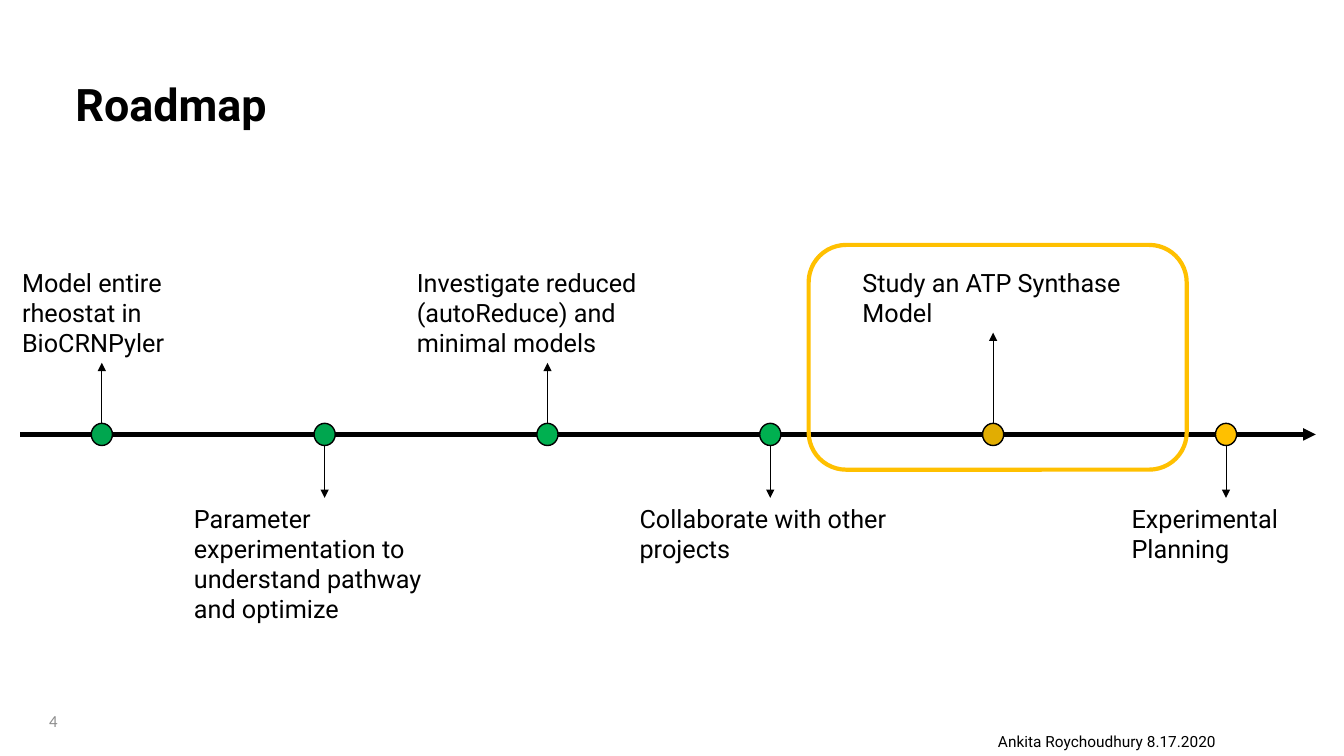
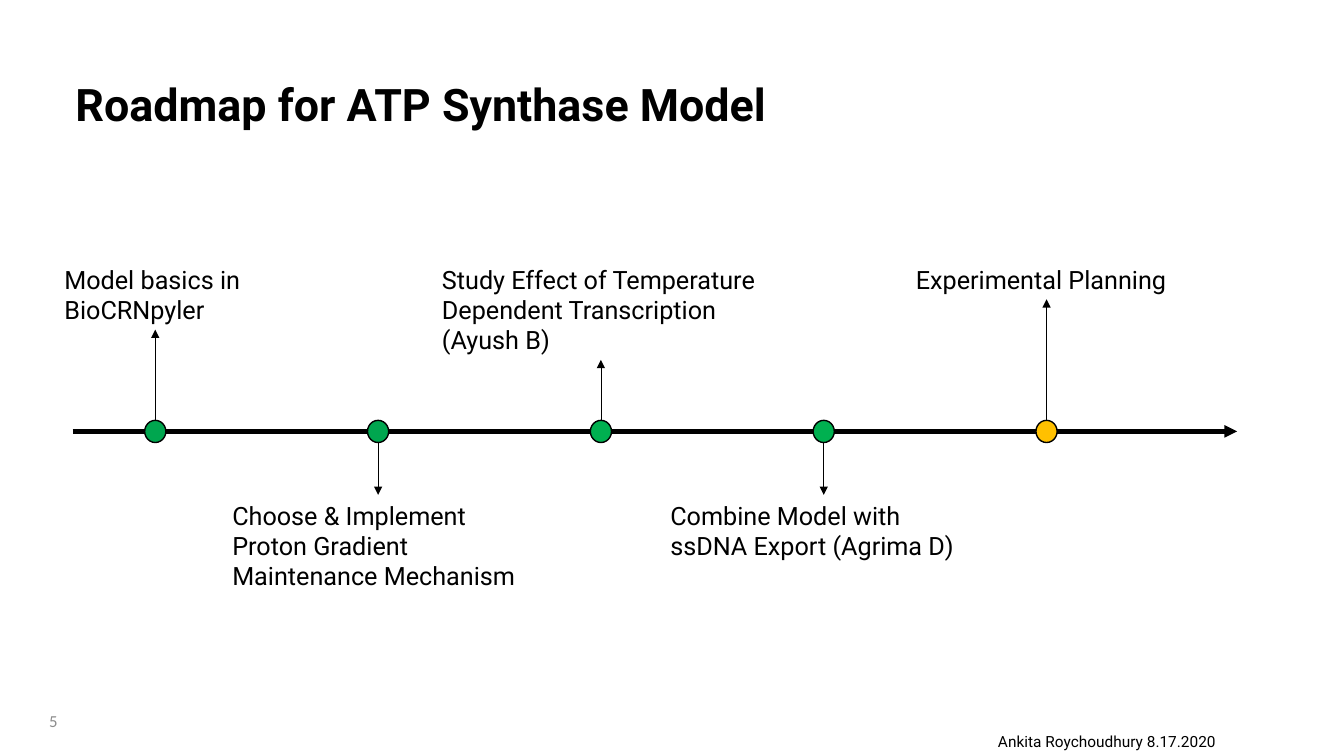
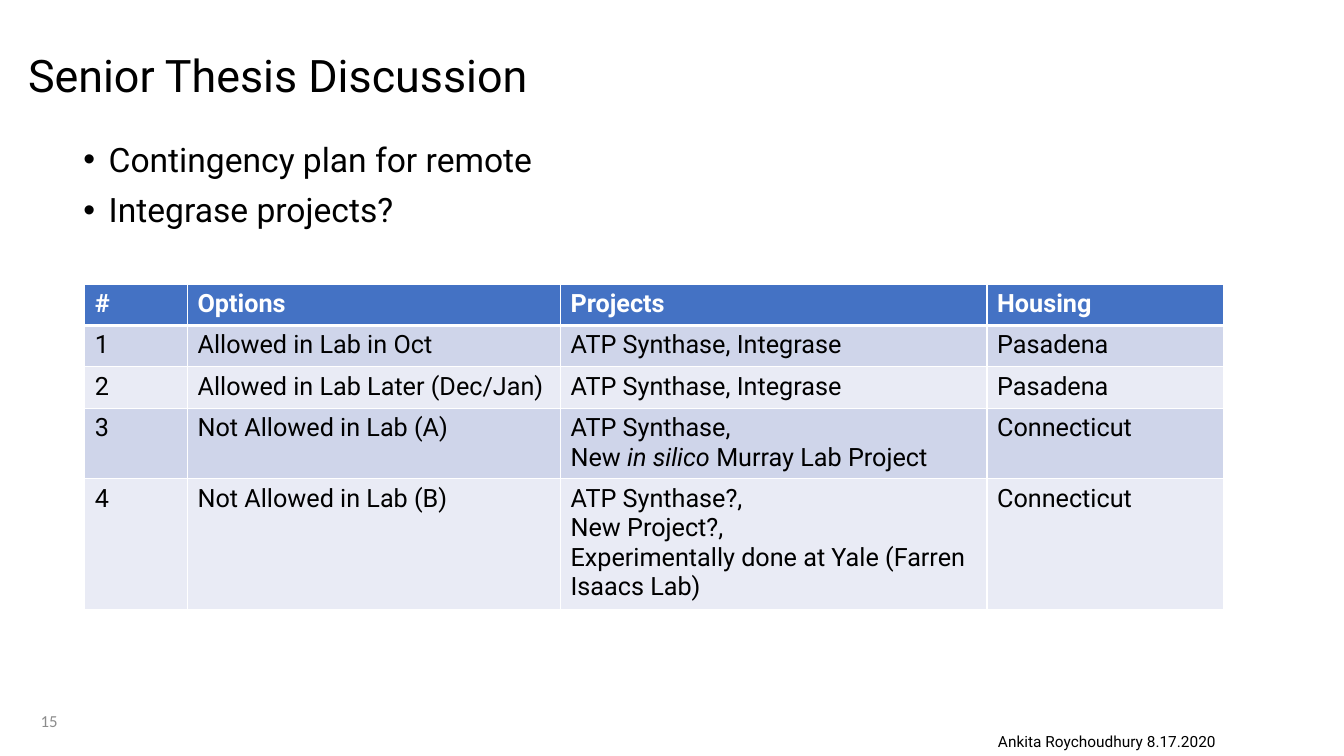
import pptx
import pptx.dml.color
import pptx.enum.shapes
import pptx.enum.text
import pptx.oxml
import pptx.oxml.ns
import pptx.util
from lxml import etree

Inches = pptx.util.Inches
Pt = pptx.util.Pt
RGBColor = pptx.dml.color.RGBColor
SHAPE = pptx.enum.shapes.MSO_SHAPE
ANCHOR = pptx.enum.text.MSO_ANCHOR
ALIGN = pptx.enum.text.PP_ALIGN
AUTO = pptx.enum.text.MSO_AUTO_SIZE
qn = pptx.oxml.ns.qn

# Colours
BLACK = RGBColor(0x00, 0x00, 0x00)
WHITE = RGBColor(0xFF, 0xFF, 0xFF)
GREY = RGBColor(0x8C, 0x8C, 0x8C)
DARK_GREEN = RGBColor(0x00, 0xA6, 0x4F)
GREEN = RGBColor(0x00, 0xB0, 0x50)
AMBER = RGBColor(0xFF, 0xC0, 0x00)
DARK_AMBER = RGBColor(0xE1, 0xAD, 0x02)
BLUE = RGBColor(0x44, 0x72, 0xC4)
BANDS = (RGBColor(0xCF, 0xD5, 0xEA), RGBColor(0xE9, 0xEB, 0xF5))

# Text styles
LABEL = {"name": "Roboto", "size": Pt(18), "bold": False}
HEADER = {**LABEL, "bold": True}
TITLE = {**LABEL, "size": Pt(32)}
BULLET = {**LABEL, "size": Pt(24)}
FOOTER = {**LABEL, "size": Pt(11)}
NUMBER = {**LABEL, "name": "Calibri", "size": Pt(12)}

# Timeline measures, in inches
STEP = 2.21
DOT_W, DOT_H = 0.21, 0.22
ABOVE, BELOW = -1.71, 0.63


def set_attrs(obj, values):
    for name, value in values.items():
        setattr(obj, name, value)


def add_run(p, text, fmt, color=BLACK, **extra):
    r = p.add_run()
    r.text = text
    set_attrs(r.font, {**fmt, **extra})
    r.font.color.rgb = color


def add_text(slide, box, text, fmt, color=BLACK, frame=None, para=None):
    sp = slide.shapes.add_textbox(*map(Inches, box))
    tf = sp.text_frame
    set_attrs(tf, {"word_wrap": True, **(frame or {})})
    p = tf.paragraphs[0]
    set_attrs(p, para or {})
    add_run(p, text, fmt, color)
    return sp


def add_outlined(slide, kind, box, line, width, fill=None):
    sp = slide.shapes.add_shape(kind, *map(Inches, box))
    sp.shadow.inherit = False
    if fill is None:
        sp.fill.background()
    else:
        sp.fill.solid()
        sp.fill.fore_color.rgb = fill
    sp.line.color.rgb = line
    sp.line.width = Pt(width)
    return sp


def add_arrow(slide, start, end, width):
    sp = slide.shapes.add_connector(
        pptx.enum.shapes.MSO_CONNECTOR.STRAIGHT, *map(Inches, start + end))
    sp.line.color.rgb = BLACK
    sp.line.width = Pt(width)
    props = sp.element.spPr
    etree.SubElement(props.find(qn("a:ln")), qn("a:tailEnd"), type="triangle")
    etree.SubElement(props, qn("a:effectLst"))
    return sp


def add_base(prs, title, number, left=0.65, top=0.34, bold=True):
    """New slide with title, footer and page number."""
    slide = prs.slides.add_slide(prs.slide_layouts[6])
    middle = {"vertical_anchor": ANCHOR.MIDDLE}
    add_text(slide, (left, top, 11.5, 1.45), title, {**TITLE, "bold": bold},
             frame=middle, para={"line_spacing": 0.9})
    add_text(slide, (9.8, 7.21, 2.43, 0.29), "Ankita Roychoudhury 8.17.2020",
             FOOTER, frame={"word_wrap": False})
    add_text(slide, (0.07, 6.95, 0.6, 0.4), str(number), NUMBER, GREY,
             middle, {"alignment": ALIGN.RIGHT})
    return slide


def add_stop(slide, x, y, above, text, width, lines, color):
    """Dot on the axis with an arrow to its centred label."""
    height = 0.1 + 0.3 * lines
    top = y + (ABOVE if above else BELOW)
    label = add_text(slide, (x - width / 2, top, width, height), text, LABEL,
                     frame={"auto_size": AUTO.SHAPE_TO_FIT_TEXT})
    dot = add_outlined(slide, SHAPE.OVAL,
                       (x - DOT_W / 2, y - DOT_H / 2, DOT_W, DOT_H),
                       BLACK, 1, color)
    edge = y + (-DOT_H / 2 if above else DOT_H / 2)
    stem = add_arrow(slide, (x, edge), (x, top + (height if above else 0)), 0.5)
    if above:
        stem.begin_connect(dot, 0)
    stem.end_connect(label, 2 if above else 0)


def add_timeline(slide, y, start, end, first, stops):
    """Axis with evenly spaced stops, alternately above and below."""
    add_arrow(slide, (start, y), (end, y), 3)
    for i, stop in enumerate(stops):
        add_stop(slide, first + i * STEP, y, i % 2 == 0, *stop)


def add_bullets(slide, box, items):
    tf = slide.shapes.add_textbox(*map(Inches, box)).text_frame
    tf.word_wrap = True
    for i, item in enumerate(items):
        p = tf.add_paragraph() if i else tf.paragraphs[0]
        props = p._p.get_or_add_pPr()
        props.set("marL", str(Inches(0.25)))
        props.set("indent", str(-Inches(0.25)))
        etree.SubElement(props, qn("a:buFont"), typeface="Arial")
        etree.SubElement(props, qn("a:buChar"), char="•")
        set_attrs(p, {"line_spacing": 0.9, "space_before": Pt(10 if i else 0)})
        add_run(p, item, BULLET)


def add_borders(cell, widths):
    props = cell._tc.get_or_add_tcPr()
    for side, width in widths.items():
        ln = etree.SubElement(props, qn("a:ln" + side), w=str(Pt(width)))
        fill = etree.SubElement(ln, qn("a:solidFill"))
        etree.SubElement(fill, qn("a:srgbClr"), val=str(WHITE))


def fill_cell(cell, text, fmt, color, back, top, bottom):
    add_borders(cell, {"L": 1, "R": 1, "T": top, "B": bottom})
    cell.fill.solid()
    cell.fill.fore_color.rgb = back
    tf = cell.text_frame
    for i, line in enumerate(text.split("\n")):
        p = tf.add_paragraph() if i else tf.paragraphs[0]
        # Parts between asterisks are italic
        for j, part in enumerate(line.split("*")):
            add_run(p, part, fmt, color, italic=j % 2 == 1)


def add_grid(slide, left, top, widths, heights, rows):
    table = slide.shapes.add_table(
        len(rows), len(widths), Inches(left), Inches(top),
        Inches(sum(widths)), Inches(sum(heights))).table
    for column, width in zip(table.columns, widths):
        column.width = Inches(width)
    for i, (height, row) in enumerate(zip(heights, rows)):
        table.rows[i].height = Inches(height)
        fmt, color, back = ((LABEL, BLACK, BANDS[(i - 1) % 2]) if i
                            else (HEADER, WHITE, BLUE))
        for j, text in enumerate(row):
            fill_cell(table.cell(i, j), text, fmt, color, back,
                      3 if i == 1 else 1, 1 if i else 3)


def build_roadmap(prs):
    slide = add_base(prs, "Roadmap", 4)
    y = 4.31
    add_timeline(slide, y, 0.2, 13.05, 1.01, [
        ("Model entire rheostat in BioCRNPyler", 1.78, 3, DARK_GREEN),
        ("Parameter experimentation to understand pathway and optimize",
         2.79, 4, DARK_GREEN),
        ("Investigate reduced (autoReduce) and minimal models", 2.79, 3, GREEN),
        ("Collaborate with other projects", 2.79, 2, GREEN),
        ("Study an ATP Synthase Model", 2.79, 2, DARK_AMBER),
    ])
    add_stop(slide, 12.16, y, False, "Experimental Planning", 2.07, 2, AMBER)
    # Current step
    add_outlined(slide, SHAPE.ROUNDED_RECTANGLE, (8.02, 2.43, 3.75, 2.23),
                 AMBER, 3)


def build_synthase_roadmap(prs):
    slide = add_base(prs, "Roadmap for ATP Synthase Model", 5)
    add_timeline(slide, 4.28, 0.72, 12.27, 1.54, [
        ("Model basics in BioCRNpyler", 2, 2, DARK_GREEN),
        ("Choose & Implement Proton Gradient Maintenance Mechanism",
         3.09, 3, DARK_GREEN),
        ("Study Effect of Temperature Dependent Transcription (Ayush B)",
         3.35, 3, GREEN),
        ("Combine Model with ssDNA Export (Agrima D)", 3.24, 2, GREEN),
        ("Experimental Planning", 2.79, 1, AMBER),
    ])


def build_thesis(prs):
    slide = add_base(prs, "Senior Thesis Discussion", 15, 0.18, 0.05, False)
    add_bullets(slide, (0.73, 1.37, 11.5, 1.2),
                ["Contingency plan for remote", "Integrase projects?"])
    add_grid(slide, 0.84, 2.82, [1.02, 3.7, 4.23, 2.35],
             [0.41, 0.41, 0.41, 0.69, 1.27], [
        ("#", "Options", "Projects", "Housing"),
        ("1", "Allowed in Lab in Oct", "ATP Synthase, Integrase", "Pasadena"),
        ("2", "Allowed in Lab Later (Dec/Jan)", "ATP Synthase, Integrase",
         "Pasadena"),
        ("3", "Not Allowed in Lab (A)",
         "ATP Synthase,\nNew *in silico* Murray Lab Project", "Connecticut"),
        ("4", "Not Allowed in Lab (B)",
         "ATP Synthase?,\nNew Project?,\n"
         "Experimentally done at Yale (Farren Isaacs Lab)", "Connecticut"),
    ])


def main():
    prs = pptx.Presentation()
    set_attrs(prs, {"slide_width": Inches(13.33), "slide_height": Inches(7.5)})
    build_roadmap(prs)
    build_synthase_roadmap(prs)
    build_thesis(prs)
    prs.save("out.pptx")


if __name__ == "__main__":
    main()
